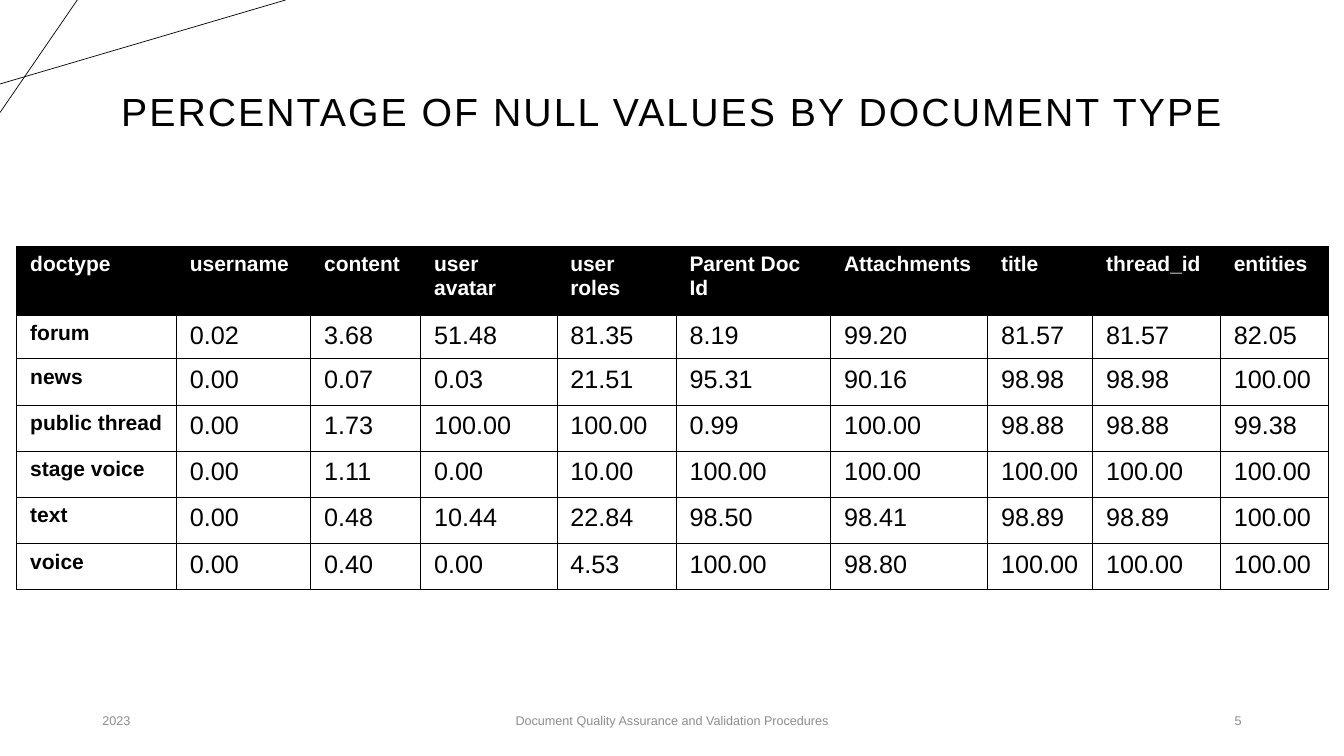
from dataclasses import dataclass

from lxml.etree import SubElement
from pptx import Presentation
from pptx.dml.color import RGBColor
from pptx.enum.shapes import MSO_CONNECTOR
from pptx.enum.text import MSO_ANCHOR, MSO_AUTO_SIZE, PP_ALIGN
from pptx.oxml.ns import qn
from pptx.slide import Slide
from pptx.table import _Cell
from pptx.text.text import TextFrame, _Run
from pptx.util import Inches, Length, Pt

BLACK = "000000"
WHITE = "FFFFFF"
GREY = "8C8C8C"
FONT = "Arial"
HAIRLINE = Pt(0.5)
GRID_COLUMNS = 160
GRID_ROWS = 90


@dataclass(frozen=True)
class Line:
    start: tuple[float, float]
    end: tuple[float, float]


@dataclass(frozen=True)
class Footer:
    text: str
    column: float
    width: float
    align: PP_ALIGN


@dataclass(frozen=True)
class TextStyle:
    size: float
    color: str
    bold: bool = False


TITLE_STYLE = TextStyle(28, BLACK)
FOOTER_STYLE = TextStyle(9, GREY)
HEADER_STYLE = TextStyle(15, WHITE, True)
LABEL_STYLE = TextStyle(15, BLACK, True)
VALUE_STYLE = TextStyle(18, BLACK)

CORNER_LINES = [Line((0, 10), (34, 0)), Line((9.2, 0), (0, 13.4))]
FOOTERS = [
    Footer("2023", 11, 36, PP_ALIGN.LEFT),
    Footer("Document Quality Assurance and Validation Procedures", 53, 54, PP_ALIGN.CENTER),
    Footer("5", 113, 36, PP_ALIGN.RIGHT),
]
COLUMN_WIDTHS = {
    "doctype": 19,
    "username": 16,
    "content": 13.1,
    "user avatar": 16.2,
    "user roles": 14.2,
    "Parent Doc Id": 18.4,
    "Attachments": 18.7,
    "title": 12.5,
    "thread_id": 15.2,
    "entities": 12.8,
}
NULL_SHARES = {
    "forum": [0.02, 3.68, 51.48, 81.35, 8.19, 99.2, 81.57, 81.57, 82.05],
    "news": [0, 0.07, 0.03, 21.51, 95.31, 90.16, 98.98, 98.98, 100],
    "public thread": [0, 1.73, 100, 100, 0.99, 100, 98.88, 98.88, 99.38],
    "stage voice": [0, 1.11, 0, 10, 100, 100, 100, 100, 100],
    "text": [0, 0.48, 10.44, 22.84, 98.5, 98.41, 98.89, 98.89, 100],
    "voice": [0, 0.4, 0, 4.53, 100, 98.8, 100, 100, 100],
}
ROW_HEIGHTS = [8.2, 5.2] + [5.5] * (len(NULL_SHARES) - 1)


def across(columns: float) -> Length:
    return Inches(13.33 * columns / GRID_COLUMNS)


def down(rows: float) -> Length:
    return Inches(7.5 * rows / GRID_ROWS)


def color(value: str) -> RGBColor:
    return RGBColor.from_string(value)


def write(frame: TextFrame, text: str, style: TextStyle, align: PP_ALIGN = PP_ALIGN.LEFT) -> _Run:
    para = frame.paragraphs[0]
    para.alignment = align
    span = para.add_run()
    span.text = text
    span.font.name = FONT
    span.font.size = Pt(style.size)
    span.font.bold = style.bold
    span.font.color.rgb = color(style.color)
    return span


def draw_line(page: Slide, line: Line) -> None:
    connector = page.shapes.add_connector(
        MSO_CONNECTOR.STRAIGHT,
        across(line.start[0]), down(line.start[1]),
        across(line.end[0]), down(line.end[1]),
    )
    connector.line.color.rgb = color(BLACK)
    connector.line.width = HAIRLINE
    SubElement(connector._element.spPr, qn("a:effectLst"))


def draw_title(page: Slide, text: str) -> None:
    title = page.shapes.title
    title.left, title.top = across(11), down(4.8)
    title.width, title.height = across(138), down(17.4)
    frame = title.text_frame
    frame.word_wrap = True
    frame.auto_size = MSO_AUTO_SIZE.NONE
    frame.vertical_anchor = MSO_ANCHOR.MIDDLE
    span = write(frame, text, TITLE_STYLE, PP_ALIGN.CENTER)
    span._r.get_or_add_rPr().set("spc", "150")
    frame.paragraphs[0].line_spacing = 0.9


def draw_footer(page: Slide, footer: Footer) -> None:
    box = page.shapes.add_textbox(across(footer.column), down(83.4), across(footer.width), down(4.8))
    frame = box.text_frame
    frame.word_wrap = True
    frame.vertical_anchor = MSO_ANCHOR.MIDDLE
    write(frame, footer.text, FOOTER_STYLE, footer.align)
    frame.paragraphs[0].space_after = Pt(6)


def format_cell(cell: _Cell, text: str, style: TextStyle, fill: str) -> None:
    cell.margin_left = cell.margin_right = across(1.6)
    cell.margin_top = cell.margin_bottom = down(0.8)
    cell.vertical_anchor = MSO_ANCHOR.TOP
    write(cell.text_frame, text, style)
    properties = cell._tc.get_or_add_tcPr()
    for side in ("lnL", "lnR", "lnT", "lnB"):
        border = SubElement(properties, qn(f"a:{side}"), w=str(HAIRLINE))
        paint = SubElement(border, qn("a:solidFill"))
        SubElement(paint, qn("a:srgbClr"), val=BLACK)
    cell.fill.solid()
    cell.fill.fore_color.rgb = color(fill)


def draw_table(page: Slide) -> None:
    frame = page.shapes.add_table(
        len(ROW_HEIGHTS), len(COLUMN_WIDTHS), across(2), down(29.3),
        across(sum(COLUMN_WIDTHS.values())), down(sum(ROW_HEIGHTS)),
    )
    table = frame.table
    for column, (heading, width) in enumerate(COLUMN_WIDTHS.items()):
        table.columns[column].width = across(width)
        format_cell(table.cell(0, column), heading, HEADER_STYLE, BLACK)
    for row, height in enumerate(ROW_HEIGHTS):
        table.rows[row].height = down(height)
    for row, (doctype, shares) in enumerate(NULL_SHARES.items(), start=1):
        format_cell(table.cell(row, 0), doctype, LABEL_STYLE, WHITE)
        for column, share in enumerate(shares, start=1):
            format_cell(table.cell(row, column), f"{share:.2f}", VALUE_STYLE, WHITE)


def main() -> None:
    deck = Presentation()
    deck.slide_width = across(GRID_COLUMNS)
    deck.slide_height = down(GRID_ROWS)
    page = deck.slides.add_slide(deck.slide_layouts.get_by_name("Title Only"))
    page.background.fill.solid()
    page.background.fill.fore_color.rgb = color(WHITE)
    for line in CORNER_LINES:
        draw_line(page, line)
    draw_title(page, "PERCENTAGE OF NULL VALUES BY DOCUMENT TYPE")
    for footer in FOOTERS:
        draw_footer(page, footer)
    draw_table(page)
    deck.save("out.pptx")


if __name__ == "__main__":
    main()
